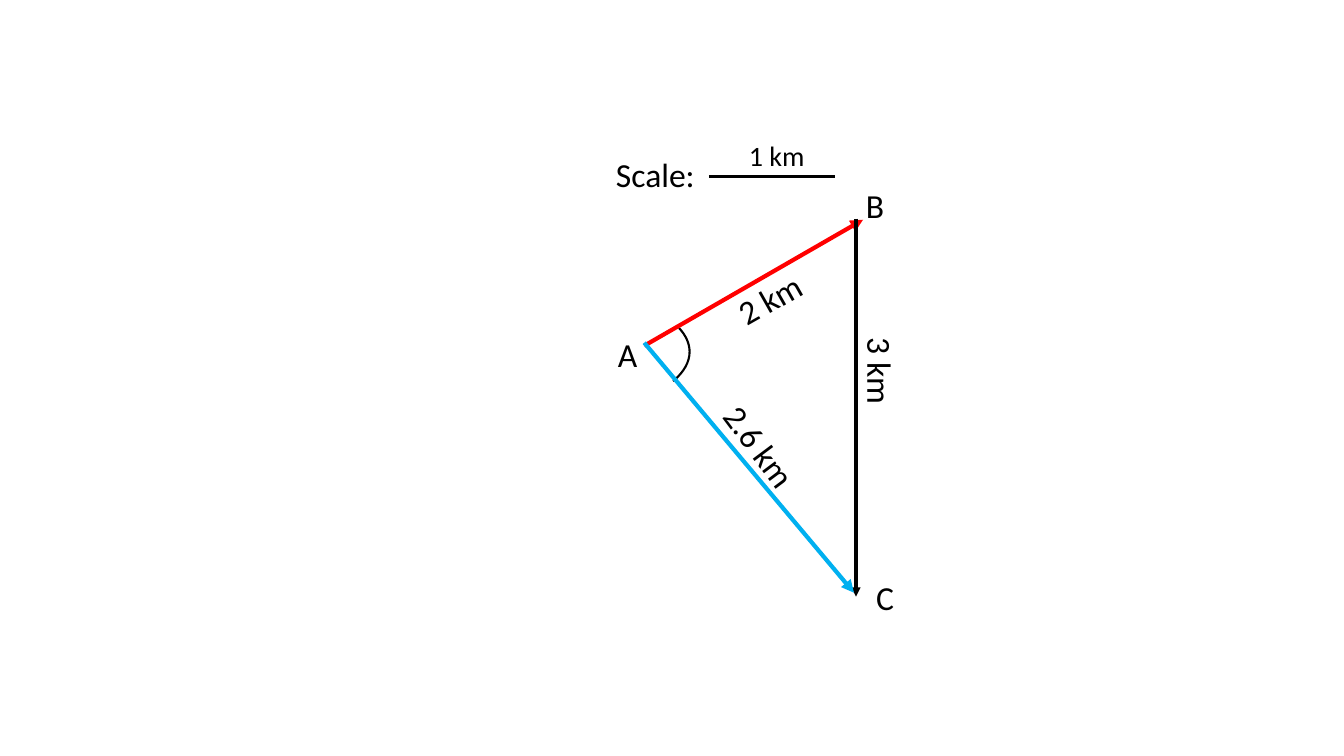
from lxml import etree
from pptx import Presentation
from pptx.dml.color import RGBColor
from pptx.enum.shapes import MSO_CONNECTOR as Link, MSO_SHAPE as Shape
from pptx.enum.text import MSO_AUTO_SIZE as Fit
from pptx.oxml.ns import qn
from pptx.util import Inches, Pt

BLACK = RGBColor(0x00, 0x00, 0x00)
RED = RGBColor(0xFF, 0x00, 0x00)
BLUE = RGBColor(0x00, 0xB0, 0xF0)


class Sketch:
    font = "Calibri"

    def __init__(self, slide):
        self.shapes = slide.shapes

    def line(self, start, end, color=BLACK, width=2.25, arrow=True):
        ends = [Inches(v) for v in (*start, *end)]
        line = self.shapes.add_connector(Link.STRAIGHT, *ends)
        line.line.color.rgb = color
        line.line.width = Pt(width)
        if arrow:
            pen = line.line._get_or_add_ln()
            etree.SubElement(pen, qn("a:tailEnd"), type="triangle")
        etree.SubElement(line._element.spPr, qn("a:effectLst"))

    def arc(self, box, start, end):
        arc = self.shapes.add_shape(Shape.ARC, *[Inches(v) for v in box])
        arc.adjustments[0] = start
        arc.adjustments[1] = end
        arc.shadow.inherit = False
        arc.fill.background()
        arc.line.color.rgb = BLACK
        arc.line.width = Pt(1.5)

    def label(self, text, left, top, width, height=0.5, size=24, turn=0):
        box = self.shapes.add_textbox(*[Inches(v) for v in (left, top, width, height)])
        box.rotation = turn
        frame = box.text_frame
        frame.word_wrap = False
        frame.auto_size = Fit.SHAPE_TO_FIT_TEXT
        run = frame.paragraphs[0].add_run()
        run.text = text
        run.font.name = self.font
        run.font.size = Pt(size)
        run.font.color.rgb = BLACK


def main():
    deck = Presentation()
    deck.slide_width = Inches(13.33)
    deck.slide_height = Inches(7.5)
    sketch = Sketch(deck.slides.add_slide(deck.slide_layouts[6]))

    # Angle at A and leg from A to B
    sketch.arc((3.58, 2.82, 3.26, 1.34), 210.72, 6.75)
    sketch.line((6.39, 3.43), (8.56, 2.18), RED, 3)
    sketch.label("A", 6.03, 3.26, 0.4)
    sketch.label("B", 8.49, 1.79, 0.38)
    sketch.label("2 km", 7.2, 2.71, 0.87, turn=330.4)

    # Scale bar
    sketch.line((7.03, 1.75), (8.28, 1.75), arrow=False)
    sketch.label("1 km", 7.33, 1.33, 0.76, 0.44, size=20)
    sketch.label("Scale:", 6.01, 1.48, 0.99)

    # Leg from B to C
    sketch.line((8.49, 2.17), (8.49, 5.92))
    sketch.label("3 km", 8.3, 3.44, 0.87, turn=90)
    sketch.label("C", 8.59, 5.67, 0.38)

    # Direct path from A to C
    sketch.line((6.39, 3.4), (8.47, 5.88), BLUE, 3)
    sketch.label("2.6 km", 6.98, 4.18, 1.12, turn=53.2)

    deck.save("out.pptx")


if __name__ == "__main__":
    main()
